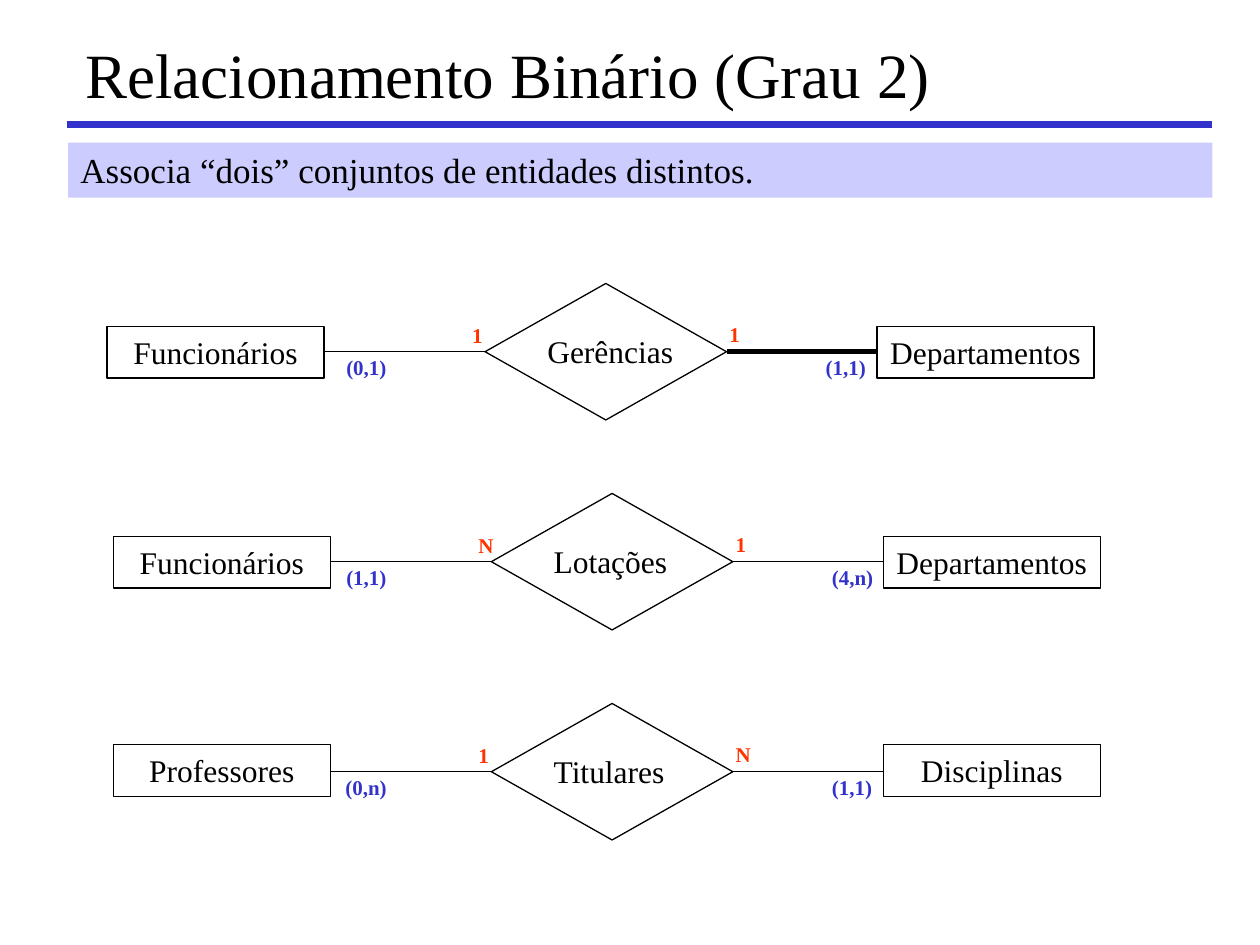
from pptx import Presentation
from pptx import util as u
from pptx.dml import color
from pptx.enum import shapes, text
from pptx.oxml import parse_xml
from pptx.oxml.ns import nsdecls

Pt = u.Pt
BLACK, BLUE, RED, LILAC = "000000", "3333CC", "FF3300", "CCCCFF"


def rgb(value):
    return color.RGBColor.from_string(value)


def add_box(container, kind, left, top, width, height, words="", size=18,
            ink=BLACK, bold=False, fill=None, line=None, align="LEFT",
            anchor="TOP", wrap=False):
    """Add a preset shape, or a text box when kind is None."""
    area = Pt(left), Pt(top), Pt(width), Pt(height)
    if kind is None:
        shape = container.add_textbox(*area)
    else:
        shape = container.add_shape(kind, *area)
        shape.shadow.inherit = False
    if fill:
        shape.fill.solid()
        shape.fill.fore_color.rgb = rgb(fill)
    else:
        shape.fill.background()
    if line:
        shape.line.color.rgb = rgb(line)
        shape.line.width = Pt(0.75)
    else:
        shape.line.fill.background()
    if words:
        frame = shape.text_frame
        frame.word_wrap = wrap
        frame.vertical_anchor = text.MSO_ANCHOR[anchor]
        paragraph = frame.paragraphs[0]
        paragraph.alignment = text.PP_ALIGN[align]
        run = paragraph.add_run()
        run.text = words
        run.font.name = "Times New Roman"
        run.font.size = Pt(size)
        run.font.bold = bold
        run.font.color.rgb = rgb(ink)


presentation = Presentation()
presentation.slide_width, presentation.slide_height = Pt(720), Pt(540)
slide = presentation.slides.add_slide(presentation.slide_layouts[6])
RECTANGLE = shapes.MSO_SHAPE.RECTANGLE
DIAMOND = shapes.MSO_SHAPE.FLOWCHART_DECISION

# Title and definition
add_box(slide.shapes, None, 41.8, 10, 648, 64, "Relacionamento Binário (Grau 2)",
        size=36, anchor="MIDDLE", wrap=True)
add_box(slide.shapes, RECTANGLE, 38.9, 81.5, 654, 31.5,
        "Associa “dois” conjuntos de entidades distintos.",
        size=20, fill=LILAC, wrap=True)

# Lines: the title rule, then two per relationship (x1, x2, y, colour, width)
lines = [(38.5, 692.5, 71.2, BLUE, 4)]

# Row left, entity offset, entities, relationship and its label width,
# red cardinalities, blue (min,max) pairs, left pair offset, right line width
relationships = [
    (61.2, 24.5, "Funcionários", "Gerências", 86.4, "Departamentos",
     "1", "1", "(0,1)", "(1,1)", 129.6, 3),
    (64.8, 24.5, "Funcionários", "Lotações", 79.2, "Departamentos",
     "N", "1", "(1,1)", "(4,n)", 126, 0.75),
    (64.8, 23.5, "Professores", "Titulares", 78.5, "Disciplinas",
     "1", "N", "(0,n)", "(1,1)", 125.5, 0.75),
]
box_width, diamond_x, diamond_width, right_x = 124, 216, 138, 440

for row, (left, entity_y, first, relation, label_width, second, red_left,
          red_right, pair_left, pair_right, pair_x,
          weight) in enumerate(relationships):
    top = 162 + 120 * row

    # Relationship diamond with its name
    group = slide.shapes.add_group_shape()
    add_box(group.shapes, DIAMOND, left + diamond_x, top, diamond_width, 78,
            line=BLACK)
    add_box(group.shapes, None, left + 244.5, top + 24, label_width, 29, relation)

    # Entities
    for x, entity in ((0, first), (right_x, second)):
        add_box(slide.shapes, RECTANGLE, left + x, top + entity_y, box_width,
                29.5, entity, line=BLACK, align="CENTER")

    # Cardinalities, in boxes wide enough for one line
    for x, y, words, ink in ((201.5, 18.7, red_left, RED),
                             (348.5, 18, red_right, RED),
                             (pair_x, 37, pair_left, BLUE),
                             (403.5, 37, pair_right, BLUE)):
        width = 24 if len(words) == 1 else 42
        add_box(slide.shapes, None, left + x, top + y, width, 21.6, words,
                size=12, ink=ink, bold=True)

    lines.append((left + box_width, left + diamond_x, top + 39, BLACK, 0.75))
    lines.append((left + diamond_x + diamond_width, left + right_x, top + 39,
                  BLACK, weight))

# Draw every line
for start, end, y, ink, weight in lines:
    connector = slide.shapes.add_connector(
        shapes.MSO_CONNECTOR.STRAIGHT, Pt(start), Pt(y), Pt(end), Pt(y))
    connector.line.color.rgb = rgb(ink)
    connector.line.width = Pt(weight)
    connector._element.spPr.append(parse_xml(f"<a:effectLst {nsdecls('a')}/>"))

presentation.save("out.pptx")
